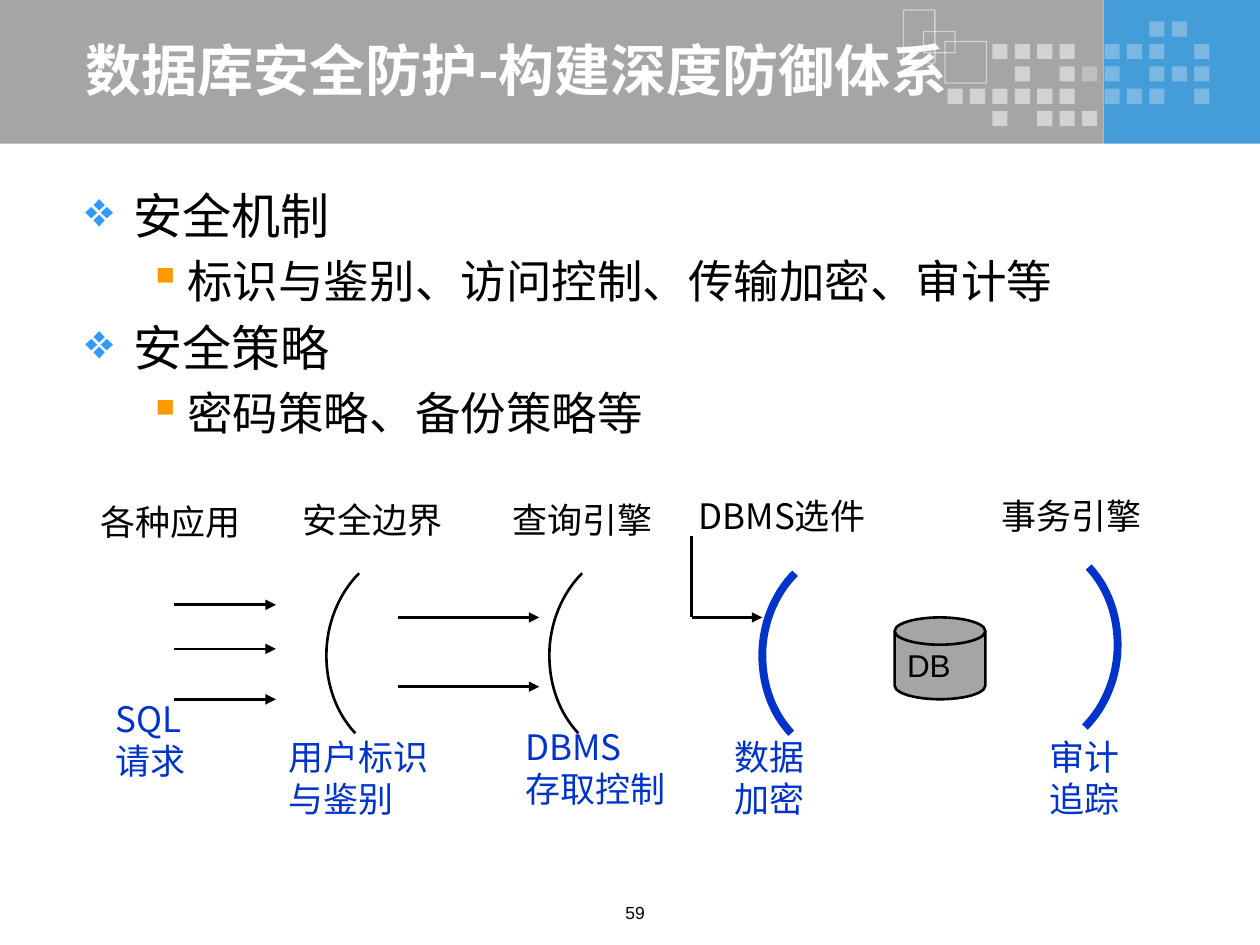
from lxml import etree
from pptx import Presentation, util as u
from pptx.dml.color import RGBColor
from pptx.enum import shapes, text
from pptx.oxml import ns

BLACK, WHITE, GRAY, BLUE = "000000", "FFFFFF", "A5A5A5", "0033CC"
SANS, SANS_JP = "Noto Sans CJK SC", "Noto Sans CJK JP"
SQUARES = [  # "#" half transparent, "+" fainter
    ".........++.",
    "..####.+++.+",
    "...#.#++.+++",
    "######.+++.+",
    "..#.###.....",
]


def color(value):
    return RGBColor.from_string(value)


def add_xml(parent, tag, **attributes):
    child = etree.SubElement(parent, ns.qn(tag))
    for name, value in attributes.items():
        child.set(name, str(value))
    return child


def set_alpha(fill_parent, percent):
    for value in fill_parent.iter(ns.qn("a:srgbClr")):
        add_xml(value, "a:alpha", val=percent * 1000)


def set_font(paragraph, size, font_color, name=SANS, bold=False):
    values = {"size": u.Pt(size), "name": name, "bold": bold}
    for run in paragraph.runs:
        for key, value in values.items():
            setattr(run.font, key, value)
        run.font.color.rgb = color(font_color)
        add_xml(run.font._element, "a:ea", typeface=name)


def set_frame(frame, insets=(0.1, 0.05, 0.1, 0.05), anchor=text.MSO_ANCHOR.TOP, wrap=True):
    values = dict(zip(("margin_left", "margin_top", "margin_right", "margin_bottom"),
                      map(u.Inches, insets)))
    values.update(vertical_anchor=anchor, word_wrap=wrap, auto_size=text.MSO_AUTO_SIZE.NONE)
    for key, value in values.items():
        setattr(frame, key, value)


def add_shape(slide, kind, box, fill=None, line=None, width=0.75):
    shape = slide.shapes.add_shape(kind, *map(u.Inches, box))
    shape.shadow.inherit = False
    if fill:
        shape.fill.solid()
        shape.fill.fore_color.rgb = color(fill)
    else:
        shape.fill.background()
    if line:
        shape.line.color.rgb = color(line)
        shape.line.width = u.Pt(width)
    else:
        shape.line.fill.background()
    return shape


def add_line(slide, start, end, arrow=True):
    line = slide.shapes.add_connector(shapes.MSO_CONNECTOR.STRAIGHT,
                                      *map(u.Inches, (*start, *end)))
    line.line.color.rgb = color(BLACK)
    line.line.width = u.Pt(1.5)
    if arrow:
        add_xml(line.line._get_or_add_ln(), "a:tailEnd", type="triangle")
    add_xml(line._element.spPr, "a:effectLst")


def add_arc(slide, left, top, line_color, width, rotation=0):
    """Open curve bulging left, drawn in hundredths of an inch."""
    builder = slide.shapes.build_freeform(26, 0, scale=u.Inches(0.01))
    builder.add_line_segments([(0, 65), (23, 127), (72, 65)], close=False)
    shape = builder.convert_to_shape(u.Inches(left), u.Inches(top))
    path = next(shape._element.iter(ns.qn("a:path")))
    path.set("fill", "none")
    for segment in path.findall(ns.qn("a:lnTo")):
        path.remove(segment)
    for curve in (((10, 16), (0, 40), (0, 65)), ((0, 89), (8, 111), (23, 127))):
        segment = add_xml(path, "a:cubicBezTo")
        for x, y in curve:
            add_xml(segment, "a:pt", x=x, y=y)
    shape.shadow.inherit = False
    shape.fill.background()
    shape.line.color.rgb = color(line_color)
    shape.line.width = u.Pt(width)
    shape.rotation = rotation


def add_label(slide, box, lines, font_color, name, insets, align=text.PP_ALIGN.LEFT):
    frame = slide.shapes.add_textbox(*map(u.Inches, box)).text_frame
    set_frame(frame, insets, text.MSO_ANCHOR.MIDDLE, wrap=False)
    frame.text = "\n".join(lines)
    for paragraph in frame.paragraphs:
        paragraph.alignment = align
        set_font(paragraph, 20, font_color, name)


def add_header(slide, left, top, width, height):
    # Colour bands
    rectangle = shapes.MSO_SHAPE.RECTANGLE
    split = 8.76
    add_shape(slide, rectangle, (left + split, top, width - split, height), "449CD8")
    add_shape(slide, rectangle, (left, top, split, height), GRAY)
    # Grid of translucent squares
    pitch = 0.178
    for row, marks in enumerate(SQUARES):
        for column, mark in enumerate(marks):
            if mark != ".":
                box = (left + 7.52 + column * pitch, top + 0.17 + row * pitch, 0.12, 0.12)
                square = add_shape(slide, rectangle, box, WHITE)
                set_alpha(square._element.spPr, 50 if mark == "#" else 29)
    # Outlined frames
    for x, y, w, h in ((7.17, 0.08, 0.25, 0.42), (7.33, 0.25, 0.25, 0.17), (7.5, 0.33, 0.33, 0.33)):
        outline = add_shape(slide, rectangle, (left + x, top + y, w, h), line=WHITE)
        set_alpha(outline._element.spPr, 50)
    # Title, in front of the bands
    title = slide.shapes.title
    slide.shapes._spTree.append(title._element)
    title.left, title.top, title.width, title.height = map(
        u.Inches, (left + 0.58, top + 0.28, 7.76, 0.53))
    title.text = "数据库安全防护-构建深度防御体系"
    set_frame(title.text_frame, anchor=text.MSO_ANCHOR.MIDDLE)
    title.text_frame.paragraphs[0].alignment = text.PP_ALIGN.LEFT
    set_font(title.text_frame.paragraphs[0], 32, WHITE, bold=True)


def add_bullets(slide, box):
    items = [(0, "安全机制"), (1, "标识与鉴别、访问控制、传输加密、审计等"),
             (0, "安全策略"), (1, "密码策略、备份策略等")]
    styles = [(28, 0.38, 0.38, "❖", "3399FF"), (26, 0.81, 0.31, "▪", "FF9900")]
    frame = slide.shapes.add_textbox(*map(u.Inches, box)).text_frame
    set_frame(frame)
    frame.text = "\n".join(words for _, words in items)
    for index, (paragraph, (level, _)) in enumerate(zip(frame.paragraphs, items)):
        size, margin, hang, bullet, bullet_color = styles[level]
        paragraph.level = level
        properties = paragraph._p.get_or_add_pPr()
        properties.set("marL", str(u.Inches(margin)))
        properties.set("indent", str(-u.Inches(hang)))
        add_xml(add_xml(properties, "a:buClr"), "a:srgbClr", val=bullet_color)
        add_xml(properties, "a:buChar", char=bullet)
        if index:
            paragraph.space_before = u.Pt(size * 0.2)
        set_font(paragraph, size, BLACK)


def add_defense_diagram(slide, left, top):
    # Arrows between the layers
    arrows = [(0.58, 1.39, y) for y in (0.84, 1.19, 1.59)]
    arrows += [(2.36, 3.48, y) for y in (0.94, 1.49)] + [(4.69, 5.25, 0.94)]
    for start, end, y in arrows:
        add_line(slide, (left + start, top + y), (left + end, top + y))
    add_line(slide, (left + 4.69, top + 0.29), (left + 4.69, top + 0.94), arrow=False)
    # Defence arcs
    for x, y, line_color, width, rotation in (
            (1.79, 0.59, BLACK, 1.5, 0), (3.56, 0.59, BLACK, 1.5, 0),
            (5.25, 0.59, BLUE, 4.5, 0), (7.35, 0.54, BLUE, 4.5, 180)):
        add_arc(slide, left + x, top + y, line_color, width, rotation)
    # Database
    disk = add_shape(slide, shapes.MSO_SHAPE.FLOWCHART_MAGNETIC_DISK,
                     (left + 6.3, top + 0.94, 0.72, 0.65), GRAY, BLACK, 1.5)
    set_frame(disk.text_frame, anchor=text.MSO_ANCHOR.MIDDLE, wrap=False)
    disk.text_frame.text = "DB"
    disk.text_frame.paragraphs[0].alignment = text.PP_ALIGN.LEFT
    set_font(disk.text_frame.paragraphs[0], 18, BLACK, "Arial")
    # Layer names above
    for x, y, words in ((0, 0.05, "各种应用"), (1.6, 0.03, "安全边界"), (3.27, 0.03, "查询引擎"),
                        (4.72, 0, "DBMS选件"), (7.15, 0, "事务引擎")):
        align = text.PP_ALIGN.CENTER if words.startswith("DBMS") else text.PP_ALIGN.LEFT
        add_label(slide, (left + x, top + y, 1.37, 0.35), [words], BLACK, SANS,
                  (0, 0, 0, 0.09), align)
    # Measures below
    for x, y, w, h, lines in (
            (0.1, 1.75, 0.89, 0.45, ("SQL", "请求")), (1.47, 2.05, 1.21, 0.45, ("用户标识", "与鉴别")),
            (3.35, 2, 1.37, 0.4, ("DBMS", "存取控制")), (5.01, 2.05, 0.89, 0.45, ("数据", "加密")),
            (7.51, 2.05, 0.89, 0.45, ("审计", "追踪"))):
        add_label(slide, (left + x, top + y, w, h), lines, BLUE, SANS_JP, (0.02, 0, 0.02, 0.13))


def add_page_number(slide, box):
    frame = slide.shapes.add_textbox(*map(u.Inches, box)).text_frame
    set_frame(frame)
    frame.text = "59"
    frame.paragraphs[0].alignment = text.PP_ALIGN.CENTER
    set_font(frame.paragraphs[0], 10, BLACK, "Arial")


def main():
    presentation = Presentation()
    presentation.slide_width, presentation.slide_height = u.Inches(10), u.Inches(7.5)
    slide = presentation.slides.add_slide(presentation.slide_layouts[5])
    add_header(slide, 0, 0, 10, 1.14)
    add_bullets(slide, (0.58, 1.42, 8.96, 5.58))
    add_page_number(slide, (4.58, 7.11, 0.92, 0.29))
    add_defense_diagram(slide, 0.8, 3.96)
    presentation.save("out.pptx")


if __name__ == "__main__":
    main()
